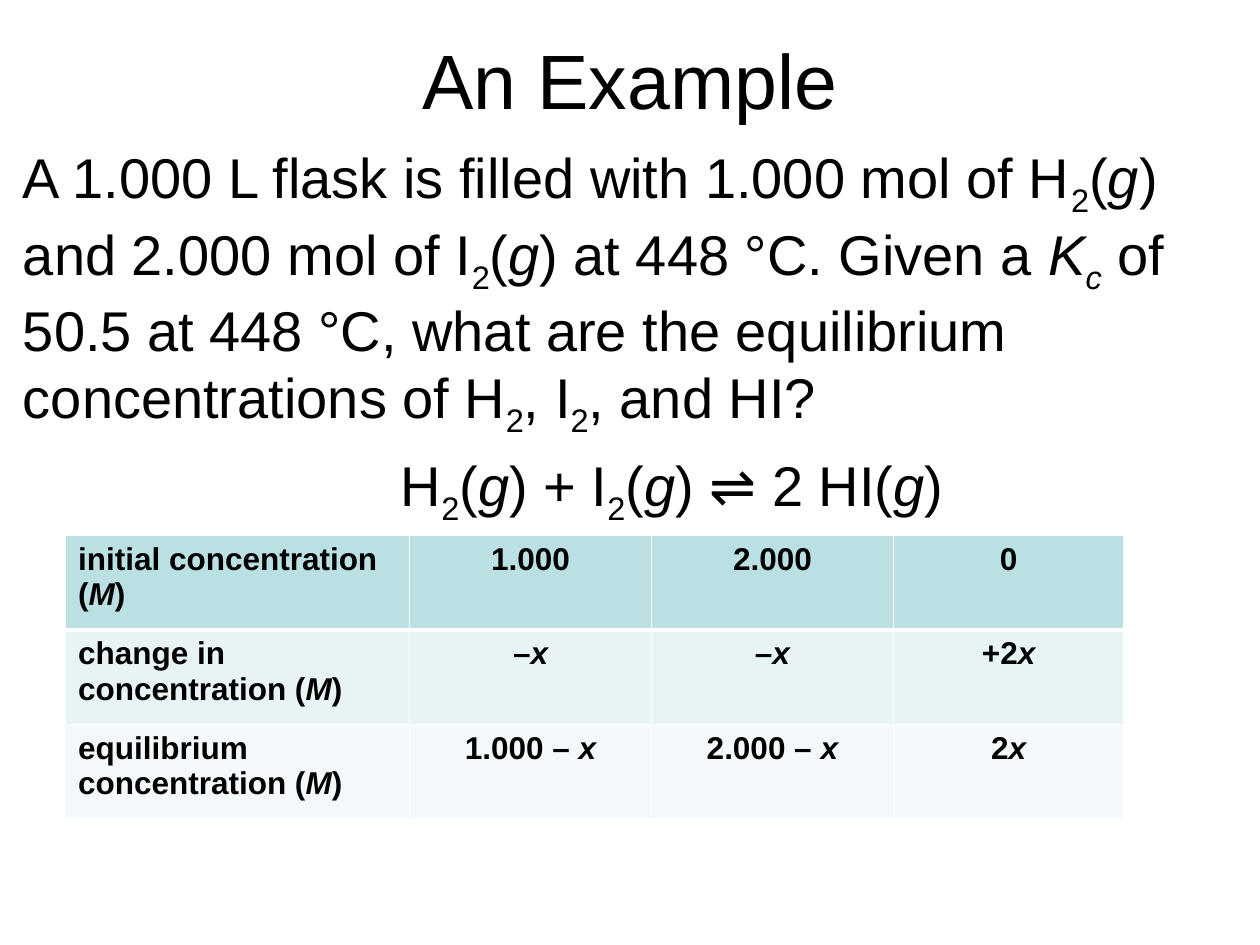
import pptx
import pptx.util
import pptx.dml.color
import pptx.enum.text
import pptx.oxml.ns
import lxml.etree

Pt = pptx.util.Pt
ALIGN = pptx.enum.text.PP_ALIGN
ANCHOR = pptx.enum.text.MSO_ANCHOR
COLORS = {
    "text": "000000",
    "border": "FFFFFF",
    "initial": "BBE0E3",
    "change": "E7F3F4",
    "equilibrium": "F3F9FA",
}
QUESTION = (
    "A 1.000 L flask is filled with 1.000 mol of H~2~(*g*) and 2.000 mol of "
    "I~2~(*g*) at 448 °C. Given a *K~c~* of 50.5 at 448 °C, what are the "
    "equilibrium concentrations of H~2~, I~2~, and HI?"
)
EQUATION = "H~2~(*g*) + I~2~(*g*) ⇌ 2 HI(*g*)"
CONCENTRATIONS = {
    "initial": ["initial concentration (*M*)", "1.000", "2.000", "0"],
    "change": ["change in concentration (*M*)", "–*x*", "–*x*", "+2*x*"],
    "equilibrium": ["equilibrium concentration (*M*)", "1.000 – *x*", "2.000 – *x*", "2*x*"],
}


def rgb(name):
    return pptx.dml.color.RGBColor.from_string(COLORS[name])


def write(paragraph, markup, size, align=ALIGN.LEFT, bold=False):
    """Fill a paragraph; * switches italics and ~ switches subscript."""
    paragraph.alignment = align
    font = paragraph.font
    font.name, font.size, font.bold = "Arial", Pt(size), bold
    font.color.rgb = rgb("text")
    for i, italic_part in enumerate(markup.split("*")):
        for j, part in enumerate(italic_part.split("~")):
            if not part:
                continue
            run = paragraph.add_run()
            run.text = part
            if i % 2:
                run.font.italic = True
            if j % 2:
                run.font._element.set("baseline", "-25000")


def add_text_frame(slide, box, anchor):
    frame = slide.shapes.add_textbox(*map(Pt, box)).text_frame
    frame.word_wrap = True
    frame.vertical_anchor = anchor
    return frame


def add_title(slide, box):
    frame = add_text_frame(slide, box, ANCHOR.MIDDLE)
    write(frame.paragraphs[0], "An Example", 44, ALIGN.CENTER)


def add_problem(slide, box):
    frame = add_text_frame(slide, box, ANCHOR.TOP)
    write(frame.paragraphs[0], QUESTION, 32)
    equation = frame.add_paragraph()
    equation.space_before = Pt(6.4)
    equation._p.get_or_add_pPr().set("marL", str(Pt(216)))
    write(equation, EQUATION, 32)


def set_borders(cell, widths):
    properties = cell._tc.get_or_add_tcPr()
    qn = pptx.oxml.ns.qn
    for position, (side, width) in enumerate(widths.items()):
        line = lxml.etree.Element(qn(f"a:ln{side}"), w=str(Pt(width)))
        fill = lxml.etree.SubElement(line, qn("a:solidFill"))
        lxml.etree.SubElement(fill, qn("a:srgbClr"), val=COLORS["border"])
        properties.insert(position, line)


def add_concentration_table(slide, box):
    left, top, width, height = box
    table = slide.shapes.add_table(3, 4, *map(Pt, box)).table
    for column, share in zip(table.columns, (2.73, 1.92, 1.92, 1.83)):
        column.width = Pt(round(width * share / 8.4, 2))
    for r, (stage, entries) in enumerate(CONCENTRATIONS.items()):
        table.rows[r].height = Pt(height / 3)
        # A thicker rule separates the first row from the rest
        borders = {"L": 1, "R": 1, "T": 3 if r == 1 else 1, "B": 3 if r == 0 else 1}
        for c, entry in enumerate(entries):
            cell = table.cell(r, c)
            cell.fill.solid()
            cell.fill.fore_color.rgb = rgb(stage)
            set_borders(cell, borders)
            align = ALIGN.CENTER if c else ALIGN.LEFT
            write(cell.text_frame.paragraphs[0], entry, 18, align, bold=True)


def main():
    presentation = pptx.Presentation()
    presentation.slide_width, presentation.slide_height = Pt(720), Pt(540)
    slide = presentation.slides.add_slide(presentation.slide_layouts[6])
    add_title(slide, (0, 0, 720, 90))
    add_problem(slide, (6, 78, 696, 264))
    add_concentration_table(slide, (37.5, 306, 604.8, 162))
    presentation.save("out.pptx")


if __name__ == "__main__":
    main()
